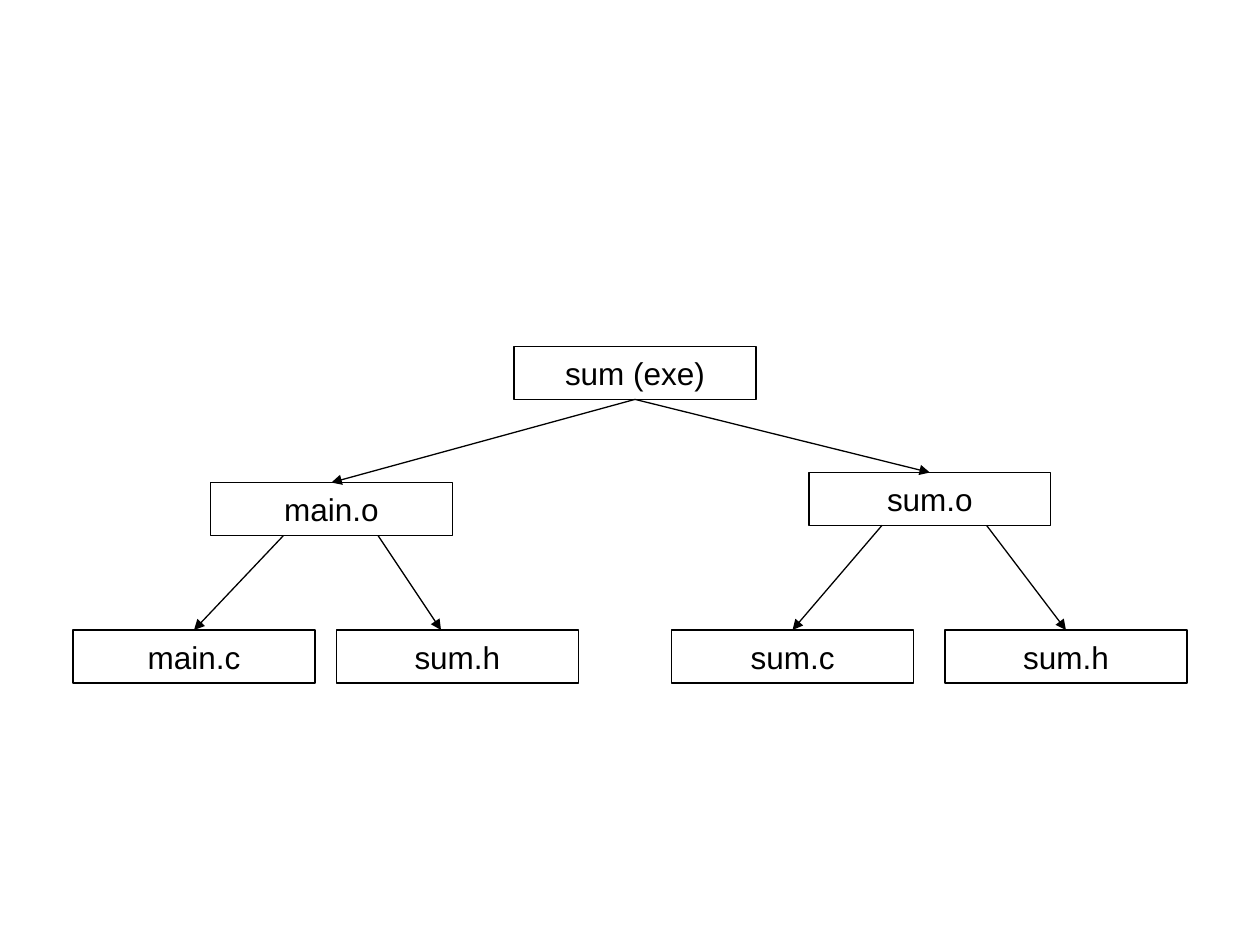
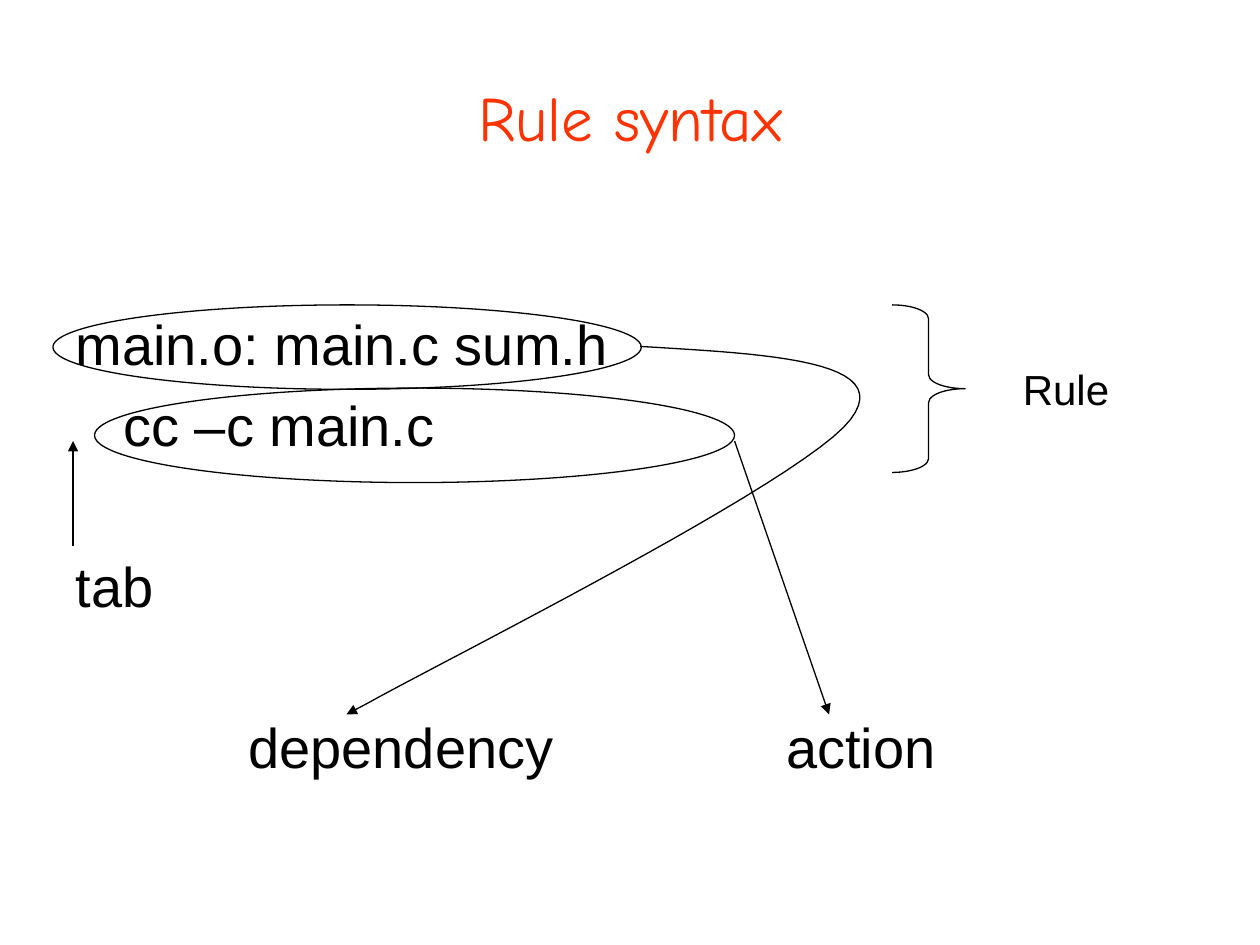
from lxml import etree
from pptx import Presentation
from pptx.dml.color import RGBColor
from pptx.enum import shapes, text
from pptx.oxml.ns import qn
from pptx.util import Inches, Pt

COLORS = {"ink": "000000", "paper": "FFFFFF", "title": "FF3300"}
BODY_FONT, TITLE_FONT = "Arial", "Comic Neue"
TITLE_ONLY, BLANK = 5, 6
TOP, BOTTOM = 0, 2
NODE_WIDTH, NODE_HEIGHT = 1.92, 0.42
LINE_PITCH = 0.64


def color(name):
    return RGBColor.from_string(COLORS[name])


def write(shape, words, size, align=text.PP_ALIGN.CENTER, font=BODY_FONT, ink="ink"):
    frame = shape.text_frame
    frame.text = words
    frame.vertical_anchor = text.MSO_ANCHOR.MIDDLE
    para = frame.paragraphs[0]
    para.alignment = align
    for span in para.runs:
        span.font.name, span.font.size = font, Pt(size)
        span.font.color.rgb = color(ink)


def outline(shape):
    shape.line.color.rgb = color("ink")
    shape.line.width = Pt(0.75)


def add_outlined(slide, kind, left, top, width, height, fill=None):
    shape = slide.shapes.add_shape(
        kind, Inches(left), Inches(top), Inches(width), Inches(height))
    shape.shadow.inherit = False
    outline(shape)
    if fill:
        shape.fill.solid()
        shape.fill.fore_color.rgb = color(fill)
    else:
        shape.fill.background()
    return shape


def add_arrow(slide, start, end):
    arrow = slide.shapes.add_connector(
        shapes.MSO_CONNECTOR.STRAIGHT, *(Inches(n) for n in (*start, *end)))
    outline(arrow)
    line = arrow._element.spPr.find(qn("a:ln"))
    etree.SubElement(line, qn("a:tailEnd"), type="triangle")
    etree.SubElement(arrow._element.spPr, qn("a:effectLst"))
    return arrow


def add_label(slide, words, left, top, width, height, size, align):
    box = slide.shapes.add_textbox(
        Inches(left), Inches(top), Inches(width), Inches(height))
    frame = box.text_frame
    frame.margin_left = frame.margin_right = 0
    frame.margin_top = frame.margin_bottom = 0
    frame.word_wrap = True
    write(box, words, size, align)


def add_curve(slide, start, segments, steps=24):
    """Draw joined cubic Bezier segments, each two controls and an end point."""
    points = []
    here = start
    for first, second, end in segments:
        for step in range(1, steps + 1):
            t = step / steps
            weights = ((1 - t) ** 3, 3 * t * (1 - t) ** 2, 3 * t * t * (1 - t), t ** 3)
            points.append(tuple(
                Inches(sum(w * p[axis] for w, p in zip(weights, (here, first, second, end))))
                for axis in (0, 1)))
        here = end
    builder = slide.shapes.build_freeform(Inches(start[0]), Inches(start[1]))
    builder.add_line_segments(points, close=False)
    curve = builder.convert_to_shape()
    curve.shadow.inherit = False
    curve.fill.background()
    outline(curve)


def add_dependency_tree(slide, left, top):
    nodes = {
        "root": ("sum (exe)", 3.5, 0),
        "sum object": ("sum.o", 5.84, 1),
        "main object": ("main.o", 1.09, 1.08),
        "sum source": ("sum.c", 4.75, 2.25),
        "main header": ("sum.h", 2.09, 2.25),
        "sum header": ("sum.h", 6.92, 2.25),
        "main source": ("main.c", 0, 2.25),
    }
    # Horizontal ends of each link; None joins the middle of the side.
    links = [
        ("main object", 1.67, "main source", None),
        ("root", None, "main object", None),
        ("root", None, "sum object", None),
        ("main object", 2.42, "main header", 2.92),
        ("sum object", 6.42, "sum source", None),
        ("sum object", 7.25, "sum header", None),
    ]
    boxes = {}
    for key, (words, x, y) in nodes.items():
        boxes[key] = add_outlined(slide, shapes.MSO_SHAPE.RECTANGLE, left + x, top + y,
                                  NODE_WIDTH, NODE_HEIGHT, "paper")
        write(boxes[key], words, 18)
    for parent, start_x, child, end_x in links:
        start = (left + (start_x or 0), top + nodes[parent][2] + NODE_HEIGHT)
        end = (left + (end_x or 0), top + nodes[child][2])
        arrow = add_arrow(slide, start, end)
        if start_x is None:
            arrow.begin_connect(boxes[parent], BOTTOM)
        if end_x is None:
            arrow.end_connect(boxes[child], TOP)


def add_title(slide, words):
    title = slide.shapes.title
    title.left, title.top = Inches(0.5), Inches(0.3)
    title.width, title.height = Inches(9), Inches(1.25)
    write(title, words, 36, font=TITLE_FONT, ink="title")


def add_rule_diagram(slide, left, top):
    def at(x, y):
        return left + x, top + y

    lines = [
        ("main.o: main.c sum.h", 0.18, 0, 4.6),
        ("cc –c main.c", 0.56, 1, 4),
        ("tab", 0.18, 3, 1),
        ("dependency", 1.55, 5, 3),
        ("action", 5.82, 5, 1.8),
    ]
    for words, x, row, width in lines:
        add_label(slide, words, *at(x, 0.05 + row * LINE_PITCH), width, 0.51, 32,
                  text.PP_ALIGN.LEFT)

    oval = shapes.MSO_SHAPE.OVAL
    add_outlined(slide, oval, *at(0, 0), 4.67, 0.67)
    add_outlined(slide, oval, *at(0.33, 0.66), 5.08, 0.75)
    add_arrow(slide, at(5.41, 1.08), at(6.16, 3.25))

    curve_end = at(2.5, 3.16)
    add_curve(slide, at(4.66, 0.33), [
        (at(5.68, 0.39), at(6.69, 0.44), at(6.33, 0.91)),
        (at(5.97, 1.39), at(3.11, 2.82), curve_end),
    ])
    add_arrow(slide, curve_end, at(2.33, 3.25))
    add_arrow(slide, at(0.16, 1.91), at(0.16, 1.08))

    brace = add_outlined(slide, shapes.MSO_SHAPE.RIGHT_BRACE, *at(6.66, 0), 0.58, 1.33)
    brace.adjustments[0] = 0.19
    add_label(slide, "Rule", *at(7.33, 0.33), 1.42, 0.67, 24, text.PP_ALIGN.CENTER)


def main():
    deck = Presentation()
    deck.slide_width, deck.slide_height = Inches(10), Inches(7.5)

    tree_slide = deck.slides.add_slide(deck.slide_layouts[BLANK])
    add_dependency_tree(tree_slide, 0.58, 2.75)

    rule_slide = deck.slides.add_slide(deck.slide_layouts[TITLE_ONLY])
    add_title(rule_slide, "Rule syntax")
    add_rule_diagram(rule_slide, 0.42, 2.42)

    deck.save("out.pptx")


if __name__ == "__main__":
    main()
